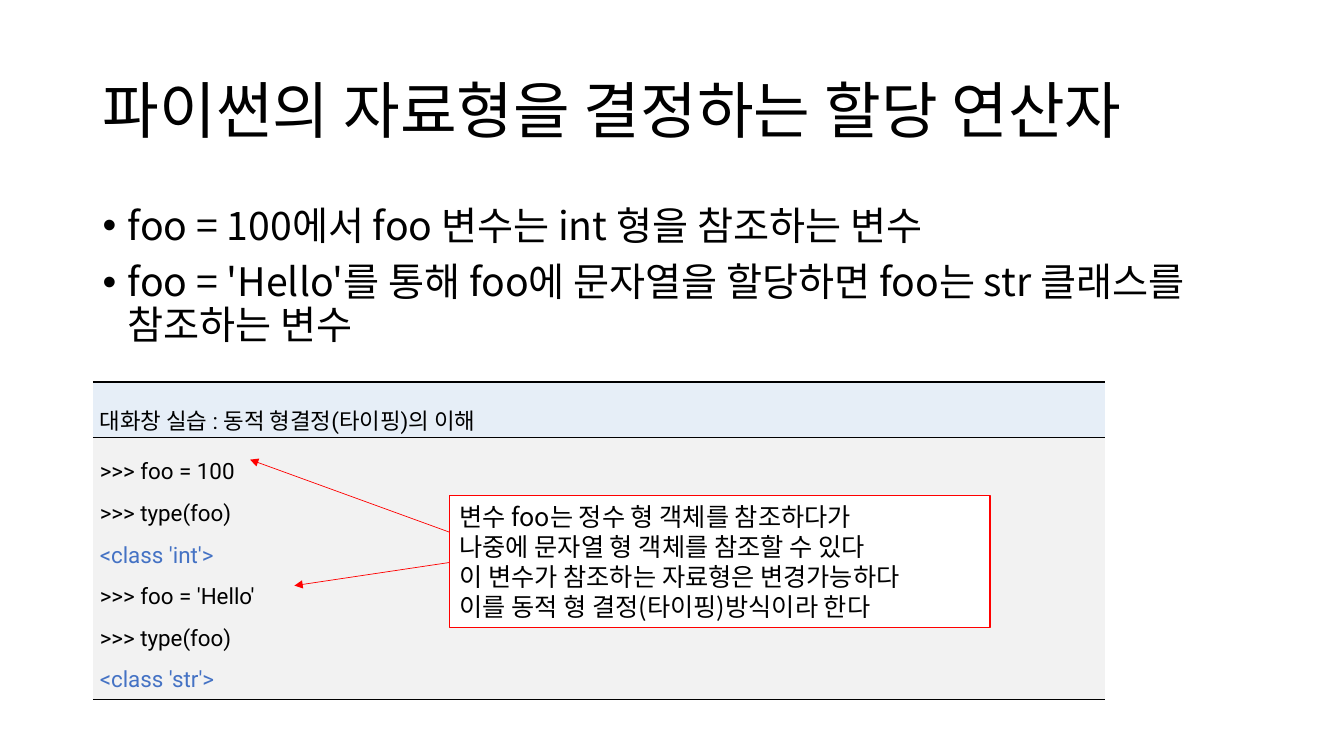
import pptx
import pptx.util
import pptx.dml.color
import pptx.enum.shapes
import pptx.enum.text
import pptx.oxml
import pptx.oxml.ns
import lxml.etree

Inches = pptx.util.Inches
Pt = pptx.util.Pt
Align = pptx.enum.text.PP_ALIGN
Anchor = pptx.enum.text.MSO_ANCHOR

COLORS = {
    "text": "000000",
    "output": "4472C4",
    "header": "E6EEF7",
    "console": "F2F2F2",
    "callout": "FFFFFF",
    "accent": "FF0000",
}
KOREAN = "Noto Sans CJK KR"
LATIN = "Roboto"

TITLE = "파이썬의 자료형을 결정하는 할당 연산자"
POINTS = [
    "foo = 100에서 foo 변수는 int 형을 참조하는 변수",
    "foo = 'Hello'를 통해 foo에 문자열을 할당하면 foo는 str 클래스를 참조하는 변수",
]
PRACTICE_HEADING = "대화창 실습 : 동적 형결정(타이핑)의 이해"
SESSION = [
    ">>> foo = 100",
    ">>> type(foo)",
    "<class 'int'>",
    ">>> foo = 'Hello'",
    ">>> type(foo)",
    "<class 'str'>",
]
EXPLANATION = [
    "변수 foo는 정수 형 객체를 참조하다가",
    "나중에 문자열 형 객체를 참조할 수 있다",
    "이 변수가 참조하는 자료형은 변경가능하다",
    "이를 동적 형 결정(타이핑)방식이라 한다",
]


def rgb(name):
    return pptx.dml.color.RGBColor.from_string(COLORS[name])


def add_child(parent, tag, **attributes):
    child = lxml.etree.SubElement(parent, pptx.oxml.ns.qn(tag))
    for key, value in attributes.items():
        child.set(key, value)
    return child


def write_lines(frame, lines, size, font=KOREAN, align=Align.LEFT, spacing=1.0):
    frame.text = "\n".join(lines)
    frame.word_wrap = True
    for paragraph in frame.paragraphs:
        paragraph.alignment = align
        paragraph.line_spacing = spacing
        paragraph.font.size = Pt(size)
        paragraph.font.name = font
        paragraph.font.color.rgb = rgb("text")
        add_child(paragraph.font._element, "a:ea", typeface=KOREAN)


def place_title(slide, left, top, width, height):
    title = slide.shapes.title
    title.left, title.top = Inches(left), Inches(top)
    title.width, title.height = Inches(width), Inches(height)
    frame = title.text_frame
    write_lines(frame, [TITLE], 44, spacing=0.9)
    frame.auto_size = pptx.enum.text.MSO_AUTO_SIZE.NONE
    frame.vertical_anchor = Anchor.MIDDLE


def add_points(slide, left, top, width, height):
    points = slide.shapes.add_textbox(
        Inches(left), Inches(top), Inches(width), Inches(height))
    write_lines(points.text_frame, POINTS, 28, spacing=0.9)
    for paragraph in points.text_frame.paragraphs:
        paragraph.space_before = Pt(10)
        properties = paragraph._p.get_or_add_pPr()
        properties.set("marL", str(Inches(0.25)))
        properties.set("indent", str(-Inches(0.25)))
        defaults = paragraph.font._element
        for tag, attributes in (("a:buFont", {"typeface": "Arial"}),
                                ("a:buChar", {"char": "•"})):
            defaults.addprevious(add_child(properties, tag, **attributes))


def set_borders(cell, top, bottom):
    properties = cell._tc.get_or_add_tcPr()
    for side, weight in (("L", 0), ("R", 0), ("T", top), ("B", bottom)):
        border = add_child(properties, "a:ln" + side, w=str(Pt(weight)))
        if weight:
            fill = add_child(border, "a:solidFill")
            add_child(fill, "a:srgbClr", val=COLORS["text"])
        else:
            add_child(border, "a:noFill")


def add_practice(slide, left, top, width, height):
    header_height = 0.55
    table = slide.shapes.add_table(
        2, 1, Inches(left), Inches(top), Inches(width), Inches(height)).table
    table.first_row = table.horz_banding = False
    table.rows[0].height = Inches(header_height)
    table.rows[1].height = Inches(height - header_height)
    rows = [([PRACTICE_HEADING], "header", 1), (SESSION, "console", 0.28)]
    for index, (lines, fill, top_border) in enumerate(rows):
        cell = table.cell(index, 0)
        set_borders(cell, top_border, 0.28)
        cell.fill.solid()
        cell.fill.fore_color.rgb = rgb(fill)
        cell.margin_left = cell.margin_right = Inches(0.07)
        cell.margin_top = cell.margin_bottom = Inches(0.02)
        cell.vertical_anchor = Anchor.MIDDLE
        write_lines(cell.text_frame, lines, 16, LATIN, Align.JUSTIFY, 1.6)
        for paragraph in cell.text_frame.paragraphs:
            if paragraph.text.startswith("<class"):
                paragraph.font.color.rgb = rgb("output")


def add_arrow(slide, start, end):
    arrow = slide.shapes.add_connector(
        pptx.enum.shapes.MSO_CONNECTOR.STRAIGHT,
        *(Inches(length) for length in (*start, *end)))
    arrow.line.color.rgb = rgb("accent")
    arrow.line.width = Pt(0.5)
    add_child(arrow.line._get_or_add_ln(), "a:tailEnd", type="triangle")
    add_child(arrow._element.spPr, "a:effectLst")


def add_callout(slide, left, top, width, height):
    callout = slide.shapes.add_shape(
        pptx.enum.shapes.MSO_SHAPE.RECTANGLE,
        Inches(left), Inches(top), Inches(width), Inches(height))
    callout.shadow.inherit = False
    callout.fill.solid()
    callout.fill.fore_color.rgb = rgb("callout")
    callout.line.color.rgb = rgb("accent")
    callout.line.width = Pt(0.75)
    write_lines(callout.text_frame, EXPLANATION, 18)
    callout.text_frame.vertical_anchor = Anchor.TOP
    add_arrow(slide, (left, top + 0.36), (left - 1.98, top - 0.36))
    add_arrow(slide, (left, top + 0.66), (left - 1.54, top + 0.89))


def main():
    deck = pptx.Presentation()
    deck.slide_width, deck.slide_height = Inches(13.33), Inches(7.5)
    slide = deck.slides.add_slide(deck.slide_layouts[5])
    margin = 0.92
    place_title(slide, margin, 0.4, 11.5, 1.45)
    add_points(slide, margin, 2, 11.5, 4.76)
    add_practice(slide, margin, 3.79, 10.04, 3.06)
    add_callout(slide, 4.46, 4.92, 5.36, 1.31)
    deck.save("out.pptx")


if __name__ == "__main__":
    main()
